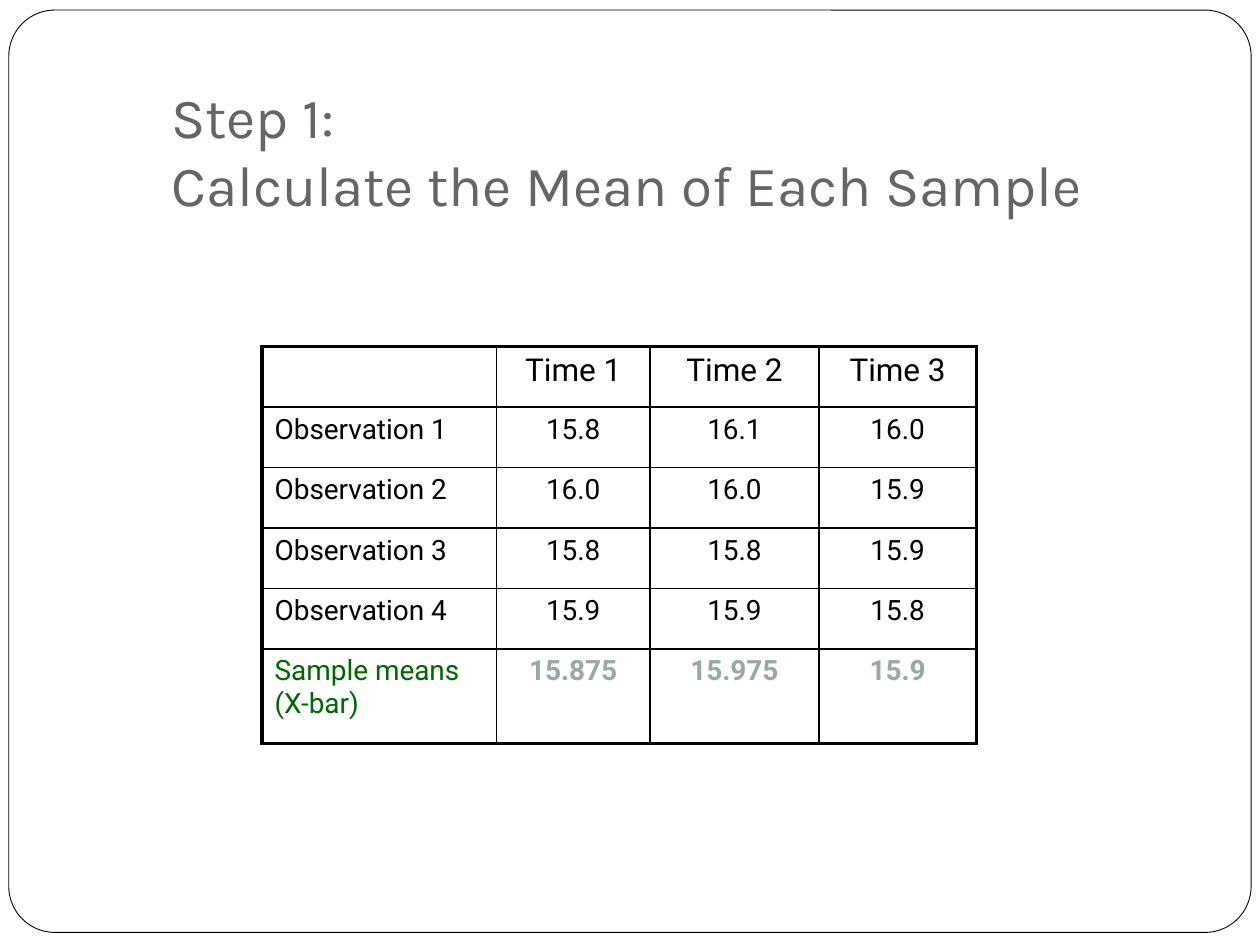
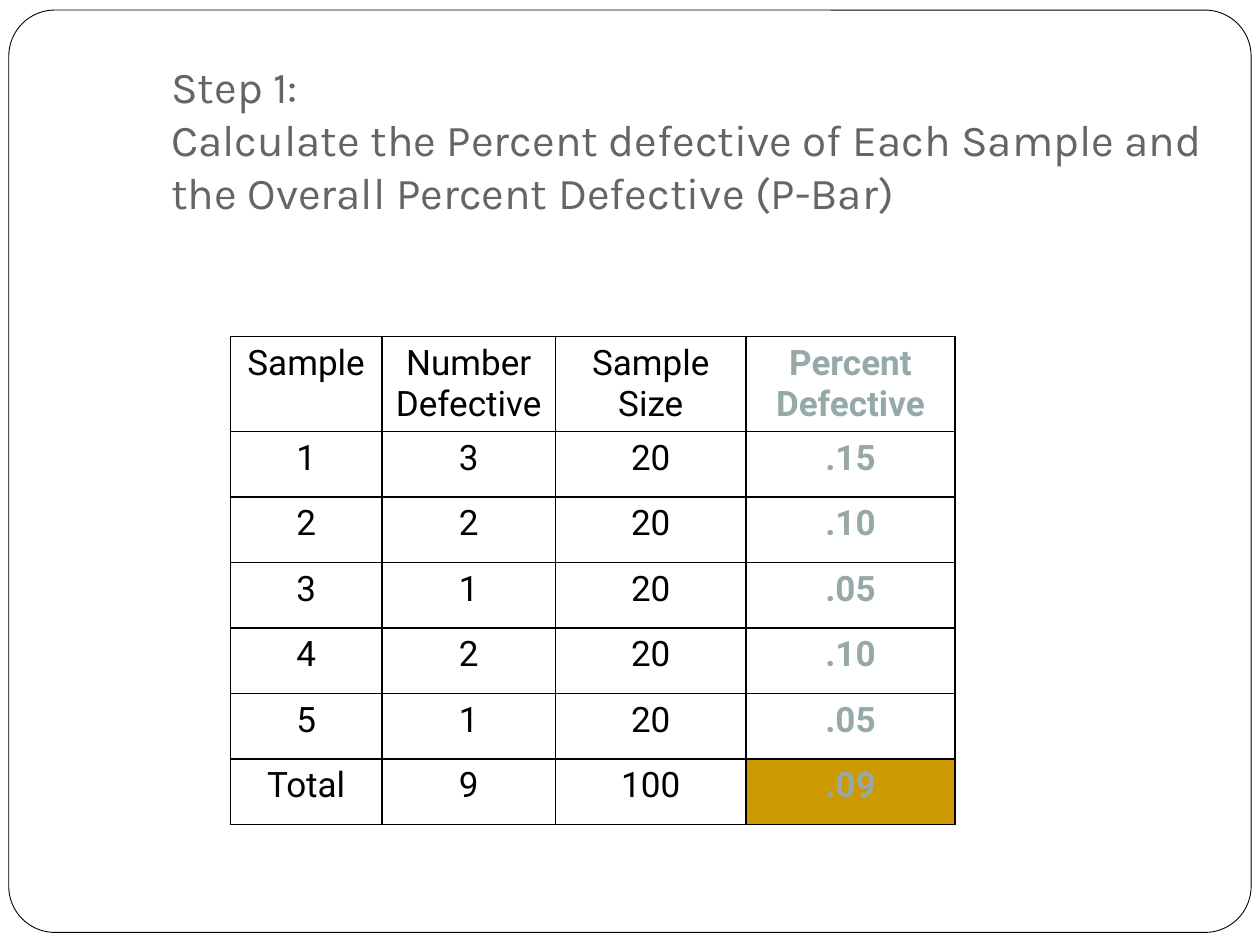
from dataclasses import dataclass

from lxml.etree import SubElement
from pptx import Presentation
from pptx.dml.color import RGBColor as RGB
from pptx.enum.shapes import MSO_SHAPE as SHAPE
from pptx.enum.text import MSO_ANCHOR as ANCHOR, MSO_AUTO_SIZE as AUTO_SIZE, PP_ALIGN as ALIGN
from pptx.oxml.ns import qn
from pptx.util import Inches, Pt


@dataclass(frozen=True)
class Theme:
    title_font: str = "Karla"
    body_font: str = "Roboto"
    title: str = "696464"
    ink: str = "000000"
    paper: str = "FFFFFF"
    result: str = "96A9A9"
    label: str = "006600"
    highlight: str = "CC9900"
    frame_line: float = 0.5
    grid_line: float = 1


THEME = Theme()

SLIDES = [
    {
        "title": "Step 1:\vCalculate the Mean of Each Sample",
        "title_size": 32.4,
        "at": (2.08, 2.75),
        "cols": [1.86, 1.22, 1.34, 1.25],
        "rows": [0.48] * 5 + [0.75],
        "header_size": 18,
        "body_size": 16,
        "outline": 2.25,
        "left_labels": True,
        "results": {(5, 1), (5, 2), (5, 3)},
        "labels": {(5, 0)},
        "highlights": set(),
        "data": [
            ["", "Time 1", "Time 2", "Time 3"],
            ["Observation 1", "15.8", "16.1", "16.0"],
            ["Observation 2", "16.0", "16.0", "15.9"],
            ["Observation 3", "15.8", "15.8", "15.9"],
            ["Observation 4", "15.9", "15.9", "15.8"],
            ["Sample means (X-bar)", "15.875", "15.975", "15.9"],
        ],
    },
    {
        "title": "Step 1:\vCalculate the Percent defective of Each Sample "
                 "and the Overall Percent Defective (P-Bar)",
        "title_size": 25.2,
        "at": (1.83, 2.67),
        "cols": [1.2, 1.38, 1.51, 1.66],
        "rows": [0.75] + [0.52] * 6,
        "header_size": 20,
        "body_size": 20,
        "outline": THEME.grid_line,
        "left_labels": False,
        "results": {(row, 3) for row in range(7)},
        "labels": set(),
        "highlights": {(6, 3)},
        "data": [
            ["Sample", "Number Defective", "Sample Size", "Percent Defective"],
            ["1", "3", "20", ".15"],
            ["2", "2", "20", ".10"],
            ["3", "1", "20", ".05"],
            ["4", "2", "20", ".10"],
            ["5", "1", "20", ".05"],
            ["Total", "9", "100", ".09"],
        ],
    },
]


def color(name):
    return RGB.from_string(name)


def set_font(p, name, size, ink, bold=False):
    p.font.name = name
    p.font.size = Pt(size)
    p.font.color.rgb = color(ink)
    p.font.bold = bold


def add_title(slide, text, size):
    sp = slide.shapes.title
    sp.left, sp.top, sp.width, sp.height = map(Inches, (1.26, 0.5, 8.52, 1.33))
    tf = sp.text_frame
    tf.text = text
    tf.word_wrap = True
    tf.auto_size = AUTO_SIZE.NONE
    tf.vertical_anchor = ANCHOR.BOTTOM
    tf.margin_left = tf.margin_right = tf.margin_bottom = Inches(0.1)
    tf.margin_top = Inches(0.05)
    p = tf.paragraphs[0]
    p.alignment = ALIGN.LEFT
    set_font(p, THEME.title_font, size, THEME.title)


def add_frame(slide):
    sp = slide.shapes.add_shape(SHAPE.ROUNDED_RECTANGLE, *map(Inches, (0.07, 0.08, 9.86, 7.32)))
    sp.adjustments[0] = 0.05
    sp.shadow.inherit = False
    sp.fill.solid()
    sp.fill.fore_color.rgb = color(THEME.paper)
    sp.line.color.rgb = color(THEME.ink)
    sp.line.width = Pt(THEME.frame_line)
    slide.shapes.title.element.addprevious(sp.element)


def set_borders(cell, outer_sides, outline):
    tcPr = cell._tc.get_or_add_tcPr()
    for side in "LRTB":
        width = outline if side in outer_sides else THEME.grid_line
        ln = SubElement(tcPr, qn(f"a:ln{side}"), w=str(Pt(width)))
        SubElement(SubElement(ln, qn("a:solidFill")), qn("a:srgbClr"), val=THEME.ink)


def add_data_table(slide, page):
    cols, rows = page["cols"], page["rows"]
    box = map(Inches, (*page["at"], sum(cols), sum(rows)))
    table = slide.shapes.add_table(len(rows), len(cols), *box).table
    table.first_row = table.horz_banding = False
    for column, width in zip(table.columns, cols):
        column.width = Inches(width)
    for row, height in zip(table.rows, rows):
        row.height = Inches(height)

    for i, values in enumerate(page["data"]):
        for j, value in enumerate(values):
            cell = table.cell(i, j)
            edges = {"L": j == 0, "R": j == len(cols) - 1, "T": i == 0, "B": i == len(rows) - 1}
            set_borders(cell, [side for side, outer in edges.items() if outer], page["outline"])
            if (i, j) in page["highlights"]:
                cell.fill.solid()
                cell.fill.fore_color.rgb = color(THEME.highlight)
            else:
                cell.fill.background()

            is_result = (i, j) in page["results"]
            ink = THEME.result if is_result else THEME.label if (i, j) in page["labels"] else THEME.ink
            size = page["header_size"] if i == 0 else page["body_size"]
            cell.text = value
            p = cell.text_frame.paragraphs[0]
            p.alignment = ALIGN.LEFT if page["left_labels"] and j == 0 else ALIGN.CENTER
            set_font(p, THEME.body_font, size, ink, is_result)


def main():
    prs = Presentation()
    prs.slide_width, prs.slide_height = Inches(10), Inches(7.5)
    for page in SLIDES:
        slide = prs.slides.add_slide(prs.slide_layouts[5])
        add_title(slide, page["title"], page["title_size"])
        add_frame(slide)
        add_data_table(slide, page)
    prs.save("out.pptx")


if __name__ == "__main__":
    main()
